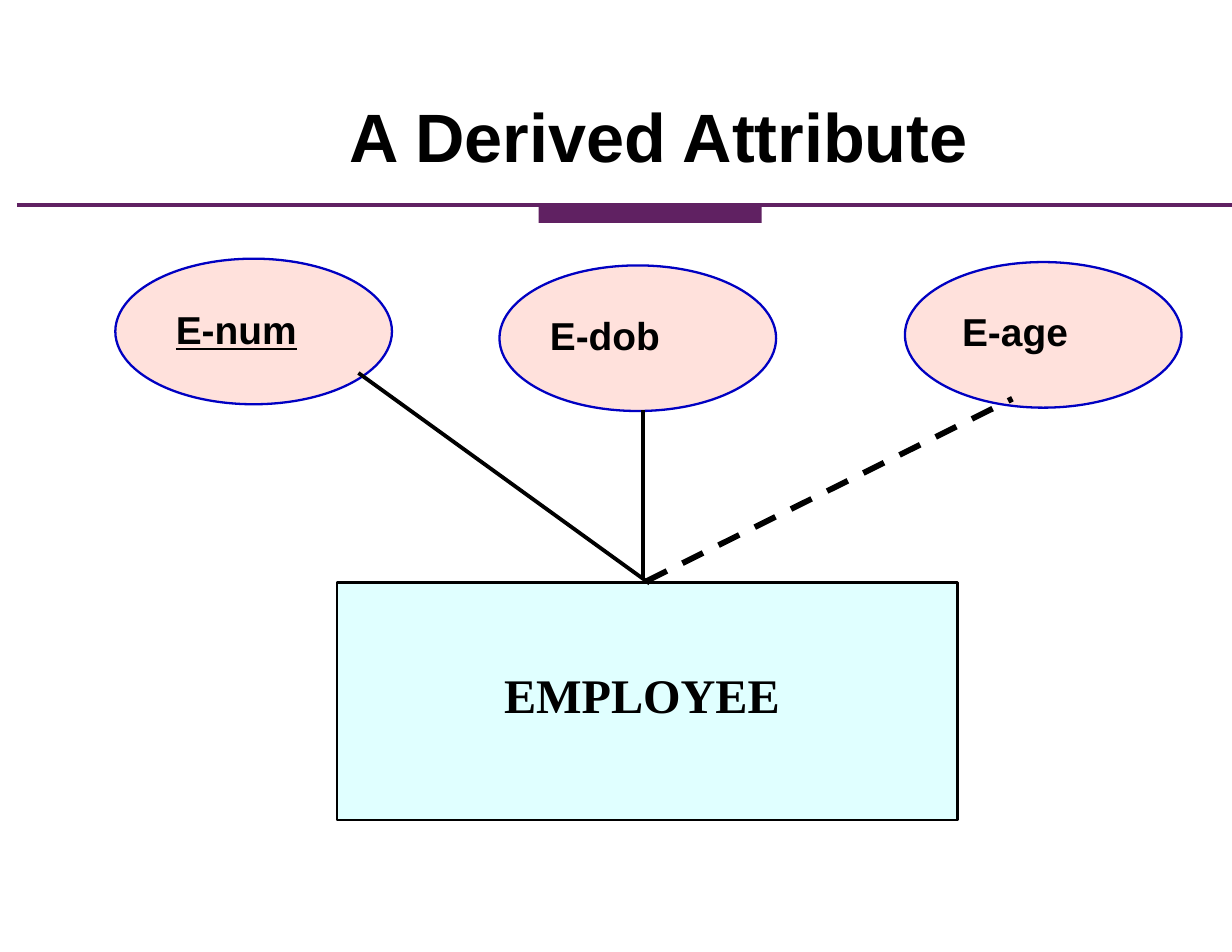
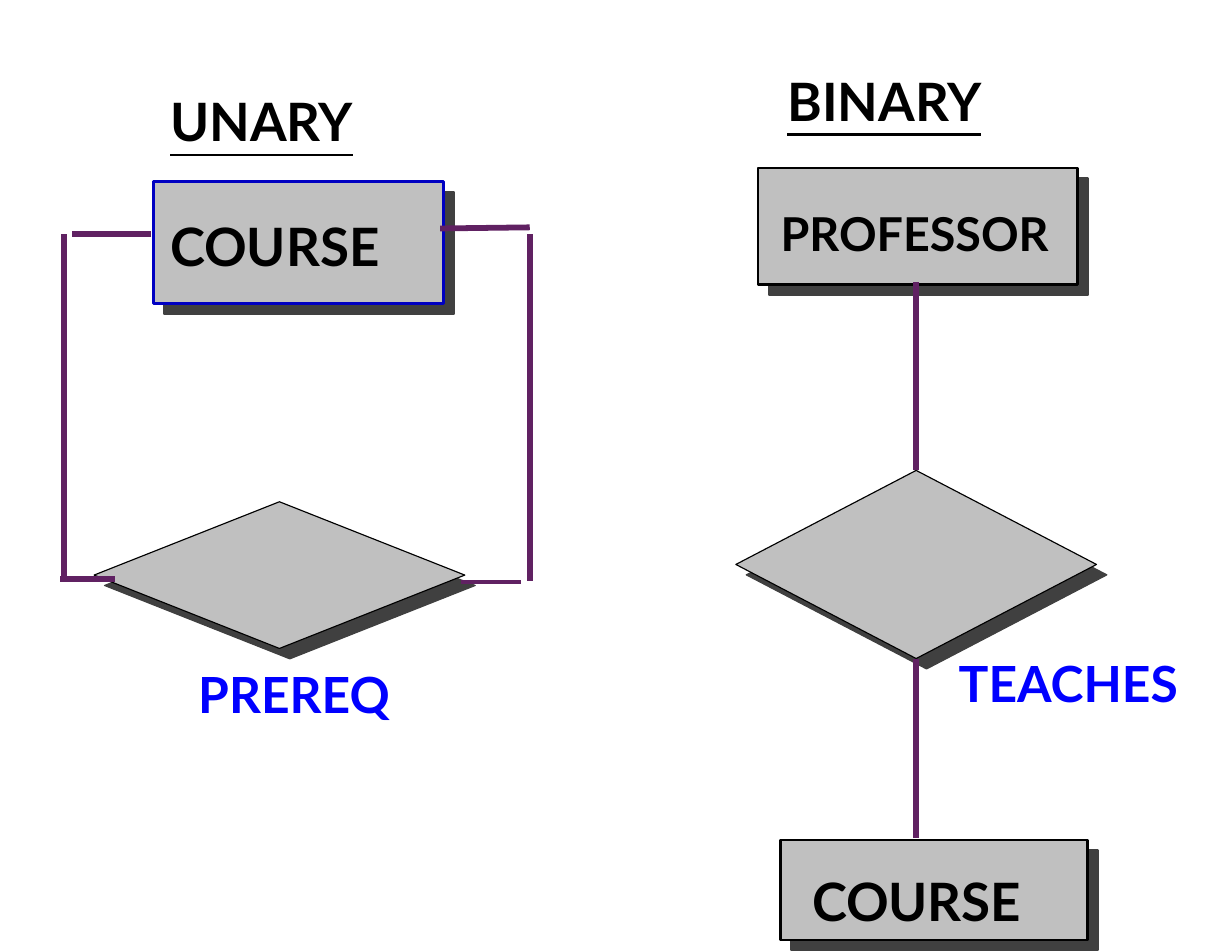
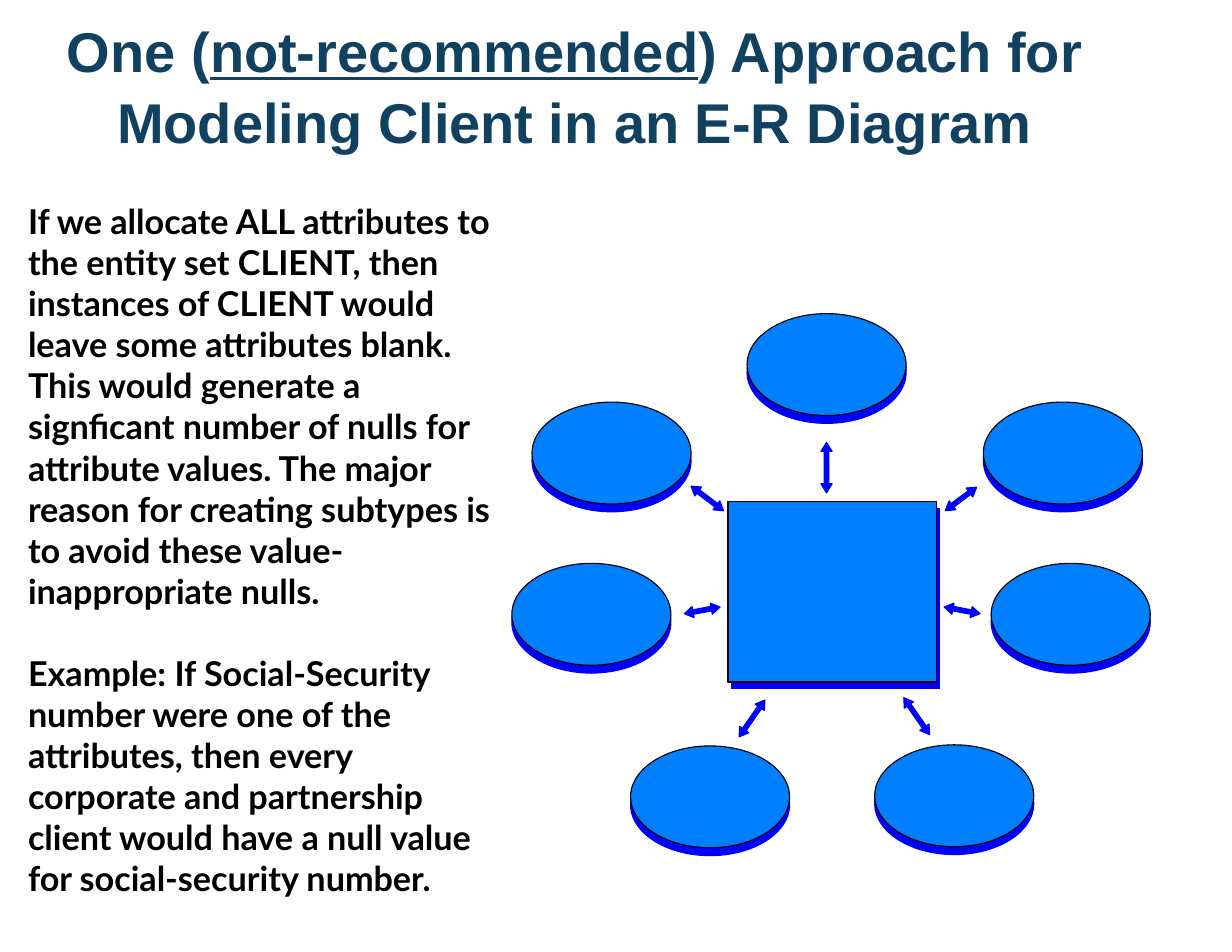
from dataclasses import dataclass
from math import hypot
from typing import NamedTuple

from lxml import etree
from pptx import Presentation
from pptx.dml.color import RGBColor
from pptx.enum.dml import MSO_LINE
from pptx.enum.shapes import MSO_CONNECTOR, MSO_SHAPE
from pptx.enum.text import MSO_ANCHOR, PP_ALIGN
from pptx.oxml import parse_xml
from pptx.oxml.ns import nsdecls, qn
from pptx.shapes.autoshape import Shape
from pptx.slide import Slide
from pptx.util import Inches, Pt

ELLIPSE = MSO_SHAPE.OVAL
BOX = MSO_SHAPE.ROUNDED_RECTANGLE
DIAMOND = MSO_SHAPE.DIAMOND
STRAIGHT = MSO_CONNECTOR.STRAIGHT
DASH = MSO_LINE.DASH
LEFT, CENTER = PP_ALIGN.LEFT, PP_ALIGN.CENTER
TOP, MIDDLE = MSO_ANCHOR.TOP, MSO_ANCHOR.MIDDLE

BLACK = RGBColor(0x00, 0x00, 0x00)
PURPLE = RGBColor(0x60, 0x21, 0x62)
NAVY = RGBColor(0x00, 0x00, 0xC2)
BLUE = RGBColor(0x00, 0x00, 0xFF)
SKY = RGBColor(0x00, 0x80, 0xFF)
TITLE_BLUE = RGBColor(0x10, 0x41, 0x60)
PINK = RGBColor(0xFF, 0xE1, 0xDC)
PALE_CYAN = RGBColor(0xE0, 0xFF, 0xFF)
SILVER = RGBColor(0xC0, 0xC0, 0xC0)
SHADOW_GRAY = RGBColor(0x40, 0x40, 0x40)

SANS, BODY, SERIF = "Arial", "Lato", "Times New Roman"
HAIRLINE, OUTLINE, MEDIUM, THICK = 0.73, 1.46, 2.48, 3.71


class Point(NamedTuple):
    x: float
    y: float


class Area(NamedTuple):
    left: float
    top: float
    width: float
    height: float

    def moved(self, right: float, down: float) -> "Area":
        return Area(self.left + right, self.top + down, self.width, self.height)

    def lengths(self) -> list[int]:
        return [Inches(value) for value in self]


@dataclass(frozen=True)
class Figure:
    area: Area
    kind: MSO_SHAPE
    fill: RGBColor
    line: RGBColor | None = BLACK
    line_width: float = OUTLINE
    casts_shadow: bool = False


@dataclass(frozen=True)
class Label:
    text: str
    area: Area
    size: float
    font: str = BODY
    color: RGBColor = BLACK
    underlined: str = ""
    alignment: PP_ALIGN = LEFT
    anchor: MSO_ANCHOR = TOP
    line_spacing: float = 1.0
    paragraph_gap: float = 0


@dataclass(frozen=True)
class Link:
    start: Point
    end: Point
    color: RGBColor = PURPLE
    width: float = THICK
    dashed: bool = False


def paint(shape: Shape, fill: RGBColor, line: RGBColor | None, width: float) -> None:
    shape.shadow.inherit = False
    shape.fill.solid()
    shape.fill.fore_color.rgb = fill
    if line is None:
        shape.line.fill.background()
    else:
        shape.line.color.rgb = line
        shape.line.width = Pt(width)


def add_hard_shadow(shape: Shape) -> None:
    """Cast a sharp gray shadow down and to the right."""
    effects = shape._element.spPr.find(qn("a:effectLst"))
    effects.append(parse_xml(
        f'<a:outerShdw {nsdecls("a")} dist="{Pt(9.5)}" dir="2700000" algn="ctr" '
        f'rotWithShape="0"><a:srgbClr val="{SHADOW_GRAY}"/></a:outerShdw>'))


def draw_figure(slide: Slide, figure: Figure) -> None:
    shape = slide.shapes.add_shape(figure.kind, *figure.area.lengths())
    if figure.kind == BOX:
        shape.adjustments[0] = 0
    paint(shape, figure.fill, figure.line, figure.line_width)
    if figure.casts_shadow:
        add_hard_shadow(shape)


def draw_label(slide: Slide, label: Label) -> None:
    text_frame = slide.shapes.add_textbox(*label.area.lengths()).text_frame
    text_frame.word_wrap = True
    text_frame.vertical_anchor = label.anchor
    text_frame.margin_left = text_frame.margin_right = 0
    text_frame.margin_top = text_frame.margin_bottom = 0
    for index, text in enumerate(label.text.split("\n")):
        paragraph = text_frame.add_paragraph() if index else text_frame.paragraphs[0]
        paragraph.alignment = label.alignment
        paragraph.line_spacing = label.line_spacing
        if index:
            paragraph.space_before = Pt(label.paragraph_gap)
        pieces = text.partition(label.underlined) if label.underlined else (text,)
        for piece in filter(None, pieces):
            run = paragraph.add_run()
            run.text = piece
            run.font.name = label.font
            run.font.size = Pt(label.size)
            run.font.bold = True
            run.font.color.rgb = label.color
            if piece == label.underlined:
                run.font.underline = True


def draw_link(slide: Slide, link: Link) -> None:
    ends = [Inches(value) for value in (*link.start, *link.end)]
    connector = slide.shapes.add_connector(STRAIGHT, *ends)
    connector.line.color.rgb = link.color
    connector.line.width = Pt(link.width)
    if link.dashed:
        connector.line.dash_style = DASH
    etree.SubElement(connector._element.spPr, qn("a:effectLst"))


def draw_double_arrow(slide: Slide, start: Point, end: Point) -> None:
    """Outline a block arrow whose two tips are the given points."""
    head, half_head, half_shaft = 0.08, 0.05, 0.02
    length = hypot(end.x - start.x, end.y - start.y)
    along_x, along_y = (end.x - start.x) / length, (end.y - start.y) / length
    side = [(0, 0), (head, half_head), (head, half_shaft),
            (length - head, half_shaft), (length - head, half_head), (length, 0)]
    other_side = [(along, -across) for along, across in side[-2:0:-1]]
    outline = [(Inches(start.x + along * along_x - across * along_y),
                Inches(start.y + along * along_y + across * along_x))
               for along, across in side + other_side]
    builder = slide.shapes.build_freeform(*outline[0])
    builder.add_line_segments(outline[1:], close=True)
    paint(builder.convert_to_shape(), BLUE, BLUE, HAIRLINE)


def draw_raised(slide: Slide, kind: MSO_SHAPE, area: Area, right: float, down: float) -> None:
    """Draw a sky-blue figure over a blue copy of itself."""
    draw_figure(slide, Figure(area.moved(right, down), kind, BLUE, BLUE, HAIRLINE))
    draw_figure(slide, Figure(area, kind, SKY, BLACK, HAIRLINE))


def build_derived_attribute(slide: Slide) -> None:
    draw_figure(slide, Figure(Area(4.81, 1.85, 1.99, 0.14), BOX, PURPLE, None))
    draw_link(slide, Link(Point(0.15, 1.83), Point(11, 1.83), width=MEDIUM))
    draw_figure(slide, Figure(Area(3.01, 5.2, 5.54, 2.12), BOX, PALE_CYAN))
    for left, top in ((1.03, 2.31), (4.46, 2.37), (8.08, 2.34)):
        draw_figure(slide, Figure(Area(left, top, 2.47, 1.3), ELLIPSE, PINK, NAVY))
    labels = (
        Label("EMPLOYEE", Area(4.5, 5.94, 2.92, 0.78), 31, SERIF),
        Label("E-num", Area(1.57, 2.73, 1.64, 0.5), 25, SANS, underlined="E-num"),
        Label("E-dob", Area(4.91, 2.78, 1.61, 0.64), 25, SANS),
        Label("E-age", Area(8.59, 2.75, 1.51, 0.5), 25, SANS),
        Label("A Derived Attribute", Area(3.12, 0.84, 6.54, 1.45), 44, SANS),
    )
    for label in labels:
        draw_label(slide, label)
    draw_link(slide, Link(Point(5.74, 5.17), Point(5.74, 3.66), BLACK, MEDIUM))
    draw_link(slide, Link(Point(5.8, 5.21), Point(3.2, 3.33), BLACK, MEDIUM))
    draw_link(slide, Link(Point(5.77, 5.19), Point(9.04, 3.56), BLACK, dashed=True))


def build_relationship_degrees(slide: Slide) -> None:
    figures = (
        Figure(Area(1.37, 1.62, 2.59, 1.09), BOX, SILVER, NAVY, casts_shadow=True),
        Figure(Area(0.84, 4.48, 3.31, 1.31), DIAMOND, SILVER, BLACK, HAIRLINE, True),
        Figure(Area(6.77, 1.5, 2.85, 1.04), BOX, SILVER, casts_shadow=True),
        Figure(Area(6.97, 7.5, 2.74, 0.89), BOX, SILVER, casts_shadow=True),
        Figure(Area(6.57, 4.2, 3.22, 1.68), DIAMOND, SILVER, BLACK, HAIRLINE, True),
    )
    for figure in figures:
        draw_figure(slide, figure)
    links = (
        Link(Point(3.93, 2.04), Point(4.73, 2.03)),
        Link(Point(4.73, 2.09), Point(4.73, 5.19)),
        Link(Point(4.12, 5.2), Point(4.65, 5.2), width=MEDIUM),
        Link(Point(1.35, 2.09), Point(0.64, 2.09)),
        Link(Point(0.57, 2.09), Point(0.57, 5.19)),
        Link(Point(0.54, 5.17), Point(1.03, 5.17)),
        Link(Point(8.18, 4.2), Point(8.18, 2.52)),
        Link(Point(8.18, 5.88), Point(8.18, 7.48)),
    )
    for link in links:
        draw_link(slide, link)
    labels = (
        Label("COURSE", Area(1.52, 1.91, 2.78, 0.82), 34),
        Label("PREREQ", Area(1.77, 5.93, 2.19, 0.61), 32, color=BLUE),
        Label("PROFESSOR", Area(6.97, 1.83, 2.93, 0.55), 30),
        Label("TEACHES", Area(8.56, 5.83, 2.44, 0.59), 32, color=BLUE),
        Label("COURSE", Area(7.25, 7.76, 2.45, 0.6), 34),
        Label("UNARY", Area(1.52, 0.79, 2.46, 0.66), 34, underlined="UNARY"),
        Label("BINARY", Area(7.03, 0.61, 2.37, 0.71), 34, underlined="BINARY"),
    )
    for label in labels:
        draw_label(slide, label)


def build_client_model(slide: Slide) -> None:
    draw_label(slide, Label(
        "One (not-recommended) Approach for Modeling Client in an E-R Diagram",
        Area(0, 0, 10.26, 1.5), 36, SANS, TITLE_BLUE, "not-recommended",
        CENTER, MIDDLE, line_spacing=1.05))
    draw_label(slide, Label(
        "If we allocate ALL attributes to the entity set CLIENT, then instances of "
        "CLIENT would leave some attributes blank. This would generate a signficant "
        "number of nulls for attribute values. The major reason for creating subtypes "
        "is to avoid these value-inappropriate nulls.\n"
        "Example: If Social-Security number were one of the attributes, then every "
        "corporate and partnership client would have a null value for "
        "social-security number.",
        Area(0.25, 1.79, 4.22, 6.71), 22, paragraph_gap=26.4))
    arrows = (
        (Point(7.38, 3.95), Point(7.38, 4.4)),
        (Point(8.72, 4.35), Point(8.44, 4.56)),
        (Point(8.75, 5.48), Point(8.43, 5.42)),
        (Point(6.11, 5.48), Point(6.43, 5.42)),
        (Point(6.6, 6.58), Point(6.83, 6.25)),
        (Point(8.3, 6.56), Point(8.07, 6.23)),
        (Point(6.17, 4.34), Point(6.46, 4.56)),
    )
    for start, end in arrows:
        draw_double_arrow(slide, start, end)
    draw_raised(slide, BOX, Area(6.5, 4.48, 1.86, 1.61), 0.03, 0.06)
    attributes = ((4.75, 3.59), (6.67, 2.8), (4.57, 5.03), (5.63, 6.66),
                  (8.78, 3.59), (8.85, 5.03), (7.81, 6.65))
    for left, top in attributes:
        draw_raised(slide, ELLIPSE, Area(left, top, 1.42, 0.91), 0, 0.07)


def main() -> None:
    presentation = Presentation()
    presentation.slide_width = Inches(11)
    presentation.slide_height = Inches(8.5)
    blank = presentation.slide_layouts[6]
    for build in (build_derived_attribute, build_relationship_degrees, build_client_model):
        build(presentation.slides.add_slide(blank))
    presentation.save("out.pptx")


if __name__ == "__main__":
    main()
